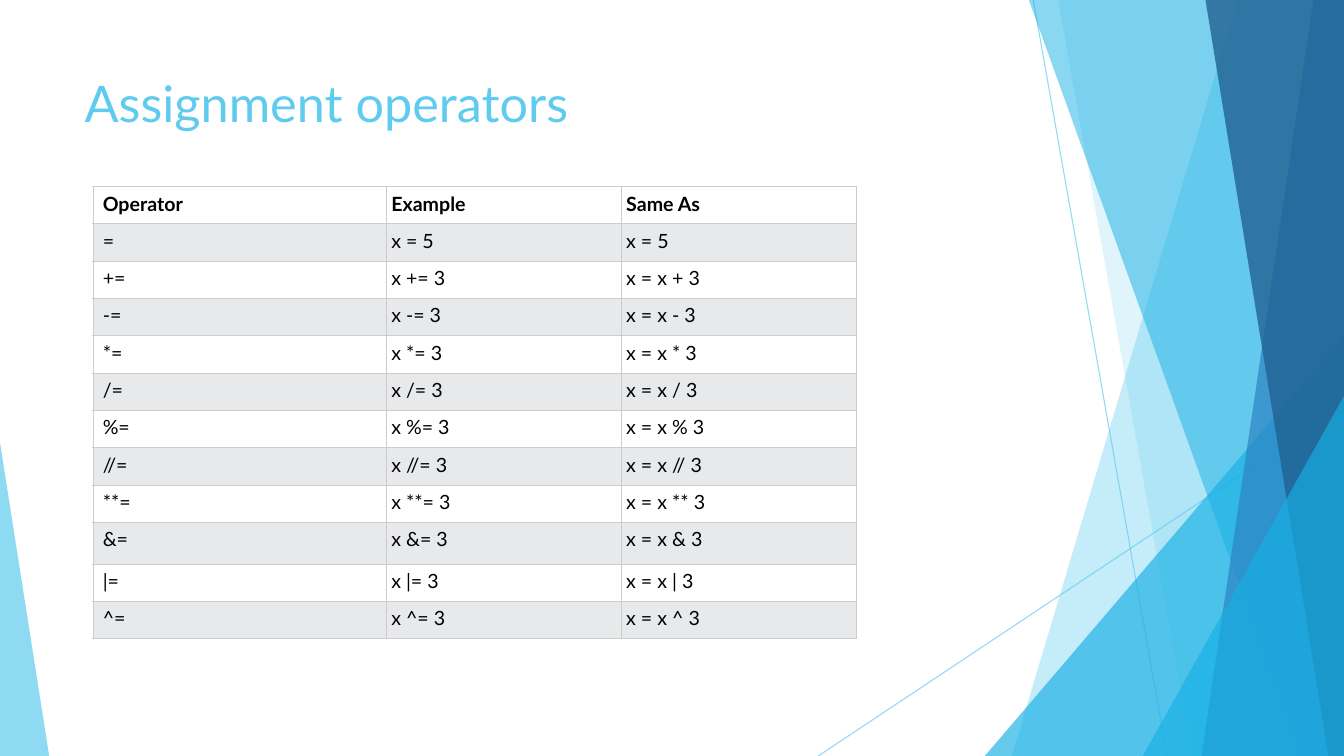
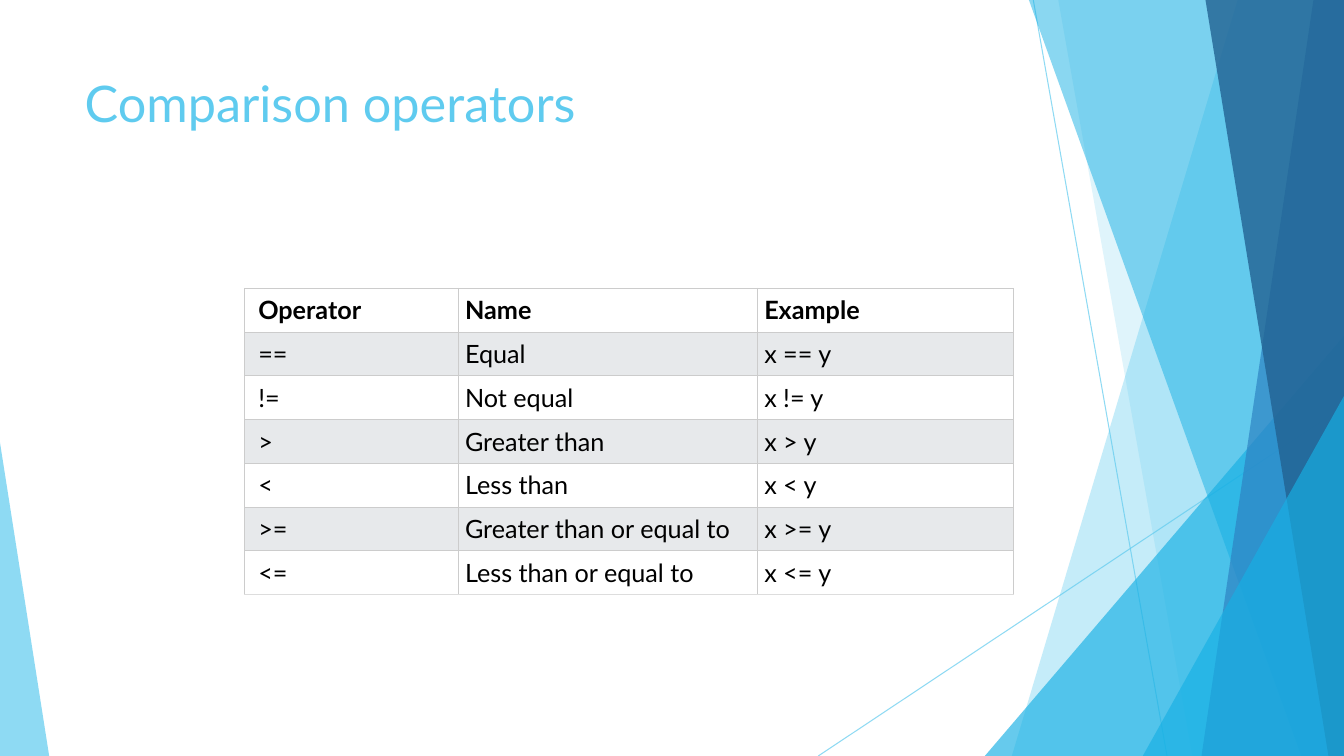
from lxml import etree
from pptx import Presentation
from pptx import util as u
from pptx.dml.color import RGBColor
from pptx.enum import shapes, text
from pptx.oxml.ns import qn

COLORS = {
    "sky": "5FCBEF", "cyan": "17B0E4", "blue": "2E83C3", "navy": "226292",
    "white": "FFFFFF", "stripe": "E7E9EB", "ink": "000000",
    "grid": "CCCCCC", "grid_light": "DDDDDD",
}
FONT = "Lato"
WIDTH, HEIGHT = 33.87, 19.05

# Lengths are in centimetres: start x, start y, end x, end y
RAYS = [(26.04, 0, 29.41, HEIGHT), (WIDTH, 10.24, 20.62, HEIGHT)]

# Back to front. A band runs to the right edge: (left at top, left at bottom).
# A wedge stands on the bottom edge: (left, top, width, apex from 0 to 1).
FACETS = [
    ("band", (31.19, 25.5), "sky", 36),
    ("band", (26.67, 30.05), "sky", 20),
    ("wedge", (24.82, 8.46, 9.05, 1), "cyan", 66),
    ("band", (25.93, 32.79), "cyan", 50),
    ("band", (33.1, 30.28), "blue", 70),
    ("band", (30.38, 33.48), "navy", 80),
    ("wedge", (28.8, 9.98, 5.07, 1), "cyan", 66),
    ("wedge", (0, 11.15, 1.24, 0), "sky", 70),
]

assignment_rows = [("Operator", "Example", "Same As"), ("=", "x = 5", "x = 5")]
for sign in ["+", "-", "*", "/", "%", "//", "**", "&", "|", "^"]:
    assignment_rows.append((f"{sign}=", f"x {sign}= 3", f"x = x {sign} 3"))

comparison_rows = [("Operator", "Name", "Example")]
for sign, name in [
    ("==", "Equal"),
    ("!=", "Not equal"),
    (">", "Greater than"),
    ("<", "Less than"),
    (">=", "Greater than or equal to"),
    ("<=", "Less than or equal to"),
]:
    comparison_rows.append((sign, name, f"x {sign} y"))

PAGES = [
    {"title": "Assignment operators", "rows": assignment_rows,
     "left": 2.34, "top": 4.7, "columns": [7.39, 5.92, 5.92],
     "row_height": 0.94, "tall_rows": {9: 1.05}, "size": 14,
     "inset": 0.13, "first_inset": 0.25, "last_edge": "grid"},
    {"title": "Comparison operators", "rows": comparison_rows,
     "left": 6.17, "top": 7.26, "columns": [5.38, 7.54, 6.45],
     "row_height": 1.1, "tall_rows": {}, "size": 18,
     "inset": 0.17, "first_inset": 0.34, "last_edge": "grid_light"},
]


def set_opacity(shape, percent):
    """Make the first plain colour of a shape or connector see-through."""
    color = next(shape._element.spPr.iter(qn("a:srgbClr")))
    etree.SubElement(color, qn("a:alpha")).set("val", str(percent * 1000))


def add_run(para, words, size, color, bold=False):
    span = para.add_run()
    span.text = words
    span.font.name = FONT
    span.font.size = u.Pt(size)
    span.font.bold = bold
    span.font.color.rgb = RGBColor.from_string(COLORS[color])


deck = Presentation()
deck.slide_width, deck.slide_height = u.Cm(WIDTH), u.Cm(HEIGHT)

for content in PAGES:
    page = deck.slides.add_slide(deck.slide_layouts[5])

    # Faceted background
    for ray in RAYS:
        line = page.shapes.add_connector(
            shapes.MSO_CONNECTOR.STRAIGHT, *[u.Cm(value) for value in ray])
        line.line.width = u.Pt(0.75)
        line.line.color.rgb = RGBColor.from_string(COLORS["sky"])
        set_opacity(line, 70)
        etree.SubElement(line._element.spPr, qn("a:effectLst"))

    for kind, geometry, color, opacity in FACETS:
        if kind == "band":
            top_left, bottom_left = geometry
            outline = page.shapes.build_freeform(u.Cm(top_left), 0)
            corners = [(WIDTH, 0), (WIDTH, HEIGHT), (bottom_left, HEIGHT)]
            outline.add_line_segments([(u.Cm(x), u.Cm(y)) for x, y in corners])
            facet = outline.convert_to_shape()
        else:
            left, top, width, apex = geometry
            facet = page.shapes.add_shape(
                shapes.MSO_SHAPE.ISOSCELES_TRIANGLE,
                u.Cm(left), u.Cm(top), u.Cm(width), u.Cm(HEIGHT - top))
            facet.adjustments[0] = apex
        facet.shadow.inherit = False
        facet.line.fill.background()
        facet.fill.solid()
        facet.fill.fore_color.rgb = RGBColor.from_string(COLORS[color])
        set_opacity(facet, opacity)

    # Title
    title = page.shapes.title
    title.left, title.top = u.Cm(1.88), u.Cm(1.7)
    title.width, title.height = u.Cm(23.88), u.Cm(3.66)
    title.text_frame.vertical_anchor = text.MSO_ANCHOR.TOP
    para = title.text_frame.paragraphs[0]
    para.alignment = text.PP_ALIGN.LEFT
    add_run(para, content["title"], 36, "sky")

    # Operator table
    rows, columns = content["rows"], content["columns"]
    heights = [content["tall_rows"].get(index, content["row_height"])
               for index in range(len(rows))]
    table = page.shapes.add_table(
        len(rows), len(columns), u.Cm(content["left"]), u.Cm(content["top"]),
        u.Cm(sum(columns)), u.Cm(sum(heights))).table
    table.first_row = table.horz_banding = False
    for column, width in zip(table.columns, columns):
        column.width = u.Cm(width)

    for row_index, row in enumerate(rows):
        table.rows[row_index].height = u.Cm(heights[row_index])
        is_last = row_index == len(rows) - 1
        for column_index, words in enumerate(row):
            cell = table.cell(row_index, column_index)
            inset = u.Cm(content["inset"])
            cell.margin_top = cell.margin_bottom = cell.margin_right = inset
            cell.margin_left = inset if column_index else u.Cm(content["first_inset"])

            for side in "LRTB":
                edge_color = content["last_edge"] if is_last and side == "B" else "grid"
                edge = etree.SubElement(cell._tc.get_or_add_tcPr(), qn(f"a:ln{side}"))
                edge.set("w", str(u.Pt(0.6)))
                edge_fill = etree.SubElement(edge, qn("a:solidFill"))
                etree.SubElement(edge_fill, qn("a:srgbClr")).set("val", COLORS[edge_color])

            cell.fill.solid()
            cell.fill.fore_color.rgb = RGBColor.from_string(
                COLORS["stripe" if row_index % 2 else "white"])
            add_run(cell.text_frame.paragraphs[0], words, content["size"],
                    "ink", bold=row_index == 0)

deck.save("out.pptx")
